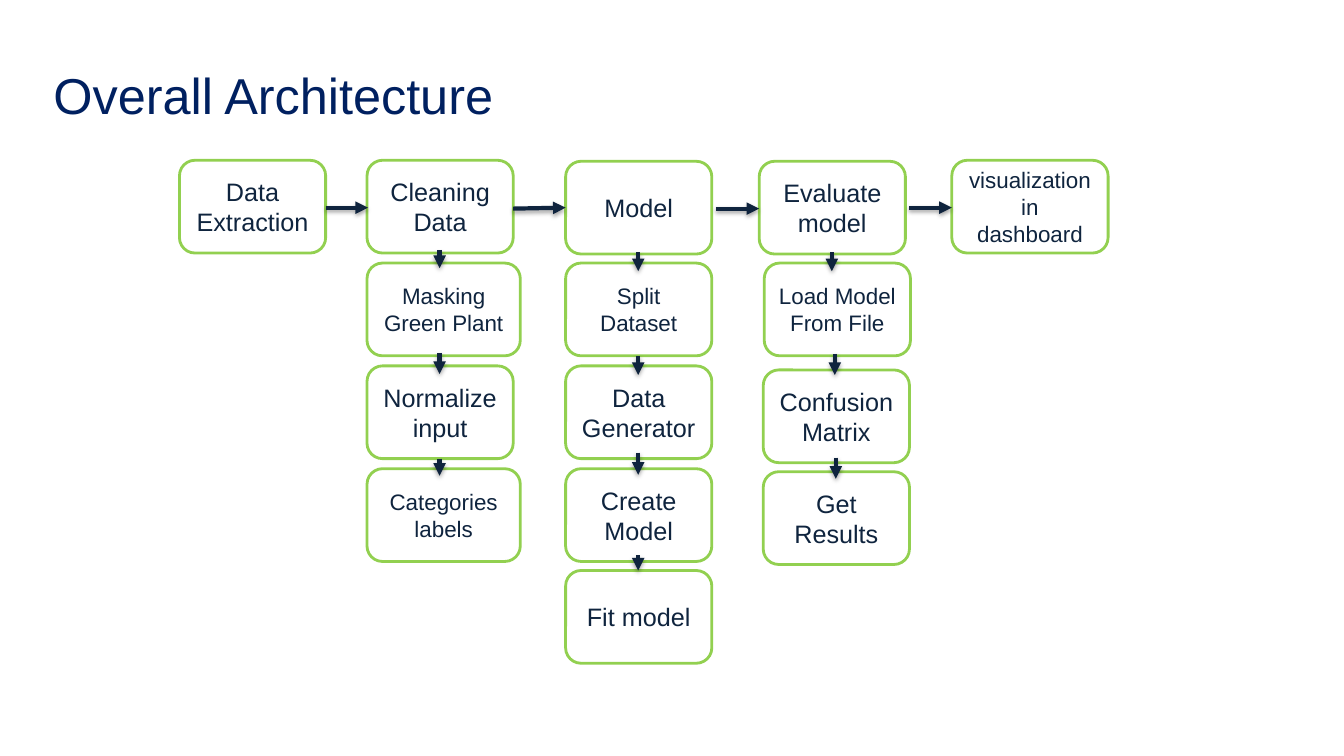
import pptx
import pptx.util
import pptx.dml.color
import pptx.enum.shapes
import pptx.enum.text
import pptx.oxml
import pptx.oxml.ns

PX = 9144  # EMU per px, 100 px to the inch
COLORS = {"title": "002060", "ink": "0F243E", "border": "92D050", "shadow": "000000"}
FONT = "Arial"
TOP, ROW_PITCH, BOX_W, BOX_H = 159, 102, 145, 92

# Stage columns: left, boxes as (text, size, width, dx, dy),
# arrows as (dx, dy, length) measured from the column's corner.
COLUMNS = [
    (178, [("Data Extraction", 18, BOX_W, 0, 0)], []),
    (364, [("Cleaning Data", 18, BOX_W, 0, 0),
           ("Masking Green Plant", 16, 152, 0, 0),
           ("Normalize input", 18, BOX_W, 0, 0),
           ("Categories labels", 16, 152, 0, 0)],
     [(72, 89, 18), (72, 191, 21), (72, 296, 17)]),
    (561, [("Model", 18, BOX_W, 0, 1),
           ("Split Dataset", 16, BOX_W, 0, 0),
           ("Data Generator", 18, BOX_W, 0, 0),
           ("Create Model", 18, BOX_W, 0, 0),
           ("Fit model", 18, BOX_W, 0, -1)],
     [(72, 91, 19), (72, 194, 19), (72, 290, 22), (72, 392, 15)]),
    (753, [("Evaluate model", 18, BOX_W, 0, 1),
           ("Load Model From File", 16, BOX_W, 5, 0),
           ("Confusion Matrix", 18, BOX_W, 4, 4),
           ("Get Results", 18, BOX_W, 4, 3)],
     [(72, 91, 19), (75, 192, 21), (76, 295, 21)]),
    (944, [("visualization in dashboard", 16, 155, 0, 0)], []),
]
STAGE_ARROWS = [(323, 206, 365, 206), (509, 207, 561, 206),
                (710, 207, 753, 207), (902, 206, 944, 206)]


def px(*lengths):
    return [pptx.util.Emu(n * PX) for n in lengths]


def rgb(name):
    return pptx.dml.color.RGBColor.from_string(COLORS[name])


def set_attrs(obj, values):
    for name, value in values.items():
        setattr(obj, name, value)


def write_text(sp, text, size, color, align, margins):
    tf = sp.text_frame
    tf.text = text
    sides = ("margin_left", "margin_top", "margin_right", "margin_bottom")
    set_attrs(tf, {"word_wrap": True,
                   "auto_size": pptx.enum.text.MSO_AUTO_SIZE.NONE,
                   "vertical_anchor": pptx.enum.text.MSO_ANCHOR.MIDDLE,
                   **dict(zip(sides, px(*margins)))})
    p = tf.paragraphs[0]
    p.alignment = align
    r = p.runs[0]
    set_attrs(r.font, {"name": FONT, "size": pptx.util.Pt(size)})
    r.font.color.rgb = rgb(color)


def add_title(s, left, top, width, height):
    sp = s.shapes.title
    set_attrs(sp, dict(zip(("left", "top", "width", "height"),
                           px(left, top, width, height))))
    write_text(sp, "Overall Architecture", 36, "title",
               pptx.enum.text.PP_ALIGN.LEFT, (7, 4, 7, 4))


def add_box(s, left, top, width, text, size):
    sp = s.shapes.add_shape(pptx.enum.shapes.MSO_SHAPE.ROUNDED_RECTANGLE,
                            *px(left, top, width, BOX_H))
    sp.shadow.inherit = False
    sp.fill.background()
    sp.line.color.rgb = rgb("border")
    sp.line.width = pptx.util.Pt(2)
    write_text(sp, text, size, "ink", pptx.enum.text.PP_ALIGN.CENTER, (10, 5, 10, 5))


def add_arrow(s, x1, y1, x2, y2):
    """Draw a line with a triangle at its end and a soft shadow below."""
    sp = s.shapes.add_connector(pptx.enum.shapes.MSO_CONNECTOR.STRAIGHT,
                                *px(x1, y1, x2, y2))
    sp.line.color.rgb = rgb("ink")
    sp.line.width = pptx.util.Pt(3)
    ns = pptx.oxml.ns.nsdecls("a")
    ln = sp.line._get_or_add_ln()
    ln.append(pptx.oxml.parse_xml(f'<a:tailEnd {ns} type="triangle"/>'))
    sp._element.spPr.append(pptx.oxml.parse_xml(
        f'<a:effectLst {ns}><a:outerShdw blurRad="{pptx.util.Pt(3.1)}" '
        f'dist="{pptx.util.Pt(1.8)}" dir="5400000" rotWithShape="0">'
        f'<a:srgbClr val="{COLORS["shadow"]}"><a:alpha val="35000"/></a:srgbClr>'
        '</a:outerShdw></a:effectLst>'))


def add_column(s, left, top, boxes, arrows):
    for row, (text, size, width, dx, dy) in enumerate(boxes):
        add_box(s, left + dx, top + row * ROW_PITCH + dy, width, text, size)
    for dx, dy, length in arrows:
        x, y = left + dx, top + dy
        add_arrow(s, x, y, x, y + length)


def main():
    prs = pptx.Presentation()
    prs.slide_width, prs.slide_height = px(1333, 750)
    s = prs.slides.add_slide(prs.slide_layouts.get_by_name("Title Only"))
    add_title(s, 46, 48, 1000, 91)
    for left, boxes, arrows in COLUMNS:
        add_column(s, left, TOP, boxes, arrows)
    for ends in STAGE_ARROWS:
        add_arrow(s, *ends)
    prs.save("out.pptx")


if __name__ == "__main__":
    main()
